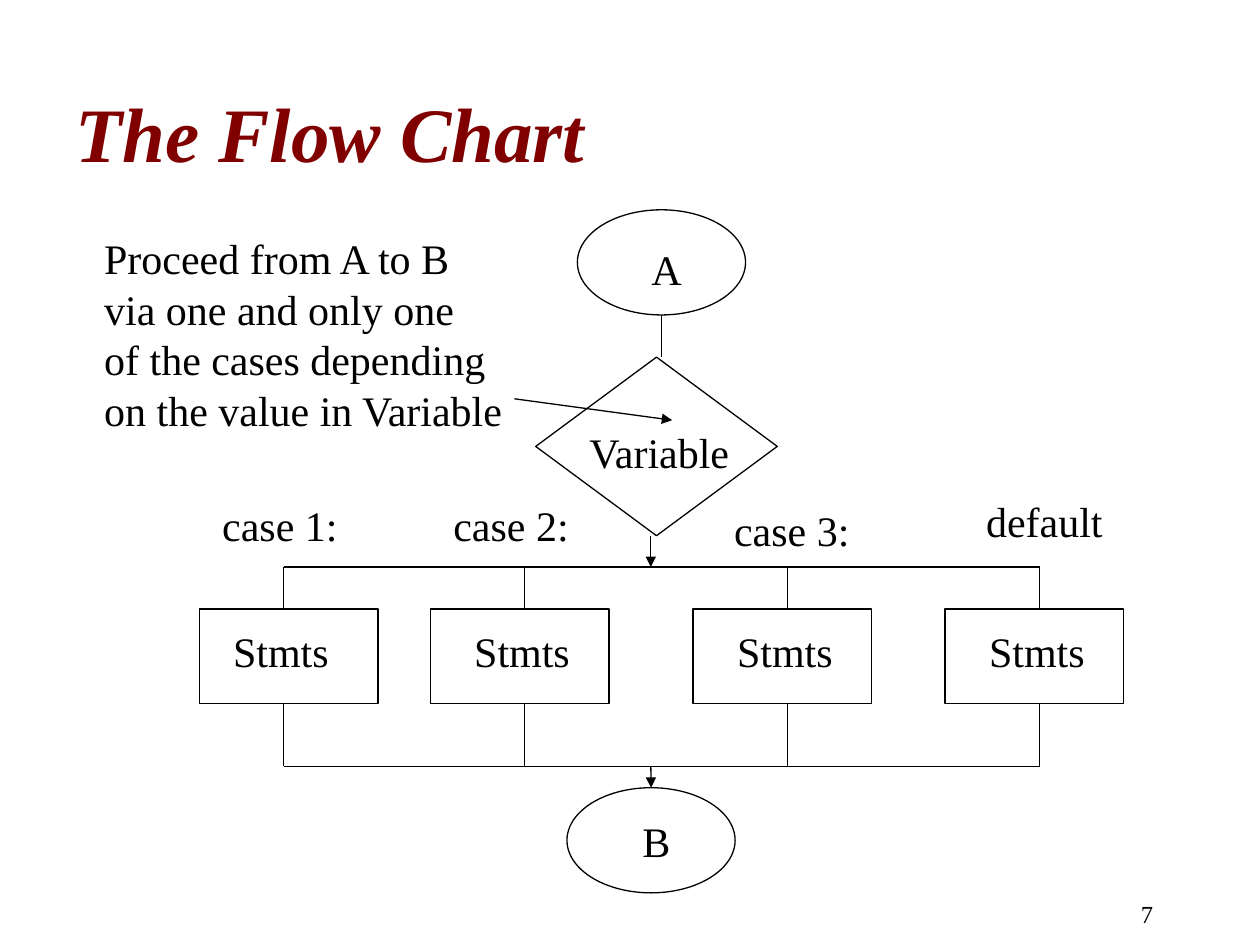
from dataclasses import dataclass

from lxml import etree
from pptx import Presentation
from pptx.dml.color import RGBColor
from pptx.enum.shapes import MSO_CONNECTOR, MSO_SHAPE
from pptx.enum.text import MSO_ANCHOR, MSO_AUTO_SIZE, PP_ALIGN
from pptx.oxml.ns import qn
from pptx.util import Cm, Pt

STRAIGHT = MSO_CONNECTOR.STRAIGHT
TERMINAL = MSO_SHAPE.FLOWCHART_CONNECTOR
DECISION = MSO_SHAPE.FLOWCHART_DECISION
PROCESS = MSO_SHAPE.FLOWCHART_PROCESS
TOP, MIDDLE, BOTTOM = MSO_ANCHOR.TOP, MSO_ANCHOR.MIDDLE, MSO_ANCHOR.BOTTOM
FIXED, GROW = MSO_AUTO_SIZE.NONE, MSO_AUTO_SIZE.SHAPE_TO_FIT_TEXT
LEFT, RIGHT = PP_ALIGN.LEFT, PP_ALIGN.RIGHT


@dataclass(frozen=True)
class Theme:
    font: str = "Times New Roman"
    ink: RGBColor = RGBColor(0, 0, 0)
    heading: RGBColor = RGBColor(0x80, 0, 0)
    title_size: Pt = Pt(44)
    body_size: Pt = Pt(24)
    number_size: Pt = Pt(14)
    line_width: Pt = Pt(0.75)


THEME = Theme()

TITLE = "The Flow Chart"
PAGE_NUMBER = "7"
NOTE = [
    "Proceed from A to B",
    "via one and only one",
    "of the cases depending",
    "on the value in Variable",
]
STATEMENT = "Stmts"
# label, label left, label top, box left, branch x
CASES = [
    ("case 1:", 4.23, 9.95, 4.02, 5.72),
    ("case 2:", 8.89, 9.95, 8.68, 10.58),
    ("case 3:", 14.55, 10.05, 13.97, 15.88),
    ("default", 19.63, 9.86, 19.05, 20.96),
]
NODE_LABELS = [
    ("A", 12.88, 4.78, 1.12),
    ("Variable", 11.63, 8.47, 3.45),
    ("B", 12.7, 16.31, 1.07),
]

TERMINAL_SIZE = (3.39, 2.12)
PROCESS_SIZE = (3.6, 1.9)
LABEL_HEIGHT = 1.27
CASE_WIDTH = 2.88
SPLIT_Y, BOX_TOP, MERGE_Y = 11.43, 12.28, 15.45
BOX_BOTTOM = BOX_TOP + PROCESS_SIZE[1]
FLOW_X = 13.12
STATEMENT_OFFSET = 1.27


def add_text(slide, lines, left, top, width, height, size=THEME.body_size,
             color=THEME.ink, emphasis=False, anchor=TOP, align=LEFT,
             wrap=False):
    box = slide.shapes.add_textbox(Cm(left), Cm(top), Cm(width), Cm(height))
    frame = box.text_frame
    frame.word_wrap = wrap
    frame.auto_size = FIXED if wrap else GROW
    frame.vertical_anchor = anchor
    frame.text = "\n".join(lines)
    for paragraph in frame.paragraphs:
        paragraph.alignment = align
        for run in paragraph.runs:
            run.font.name = THEME.font
            run.font.size = size
            run.font.color.rgb = color
            run.font.bold = emphasis
            run.font.italic = emphasis


def add_node(slide, kind, left, top, width, height):
    shape = slide.shapes.add_shape(kind, Cm(left), Cm(top), Cm(width), Cm(height))
    shape.shadow.inherit = False
    shape.fill.background()
    shape.line.color.rgb = THEME.ink
    shape.line.width = THEME.line_width
    return shape


def add_line(slide, start_x, start_y, end_x, end_y, arrow=False):
    line = slide.shapes.add_connector(
        STRAIGHT, Cm(start_x), Cm(start_y), Cm(end_x), Cm(end_y))
    line.line.color.rgb = THEME.ink
    line.line.width = THEME.line_width
    properties = line._element.spPr
    etree.SubElement(properties, qn("a:effectLst"))
    if arrow:
        etree.SubElement(properties.find(qn("a:ln")), qn("a:tailEnd"), type="triangle")
    return line


def add_cases(slide):
    for label, label_left, label_top, box_left, branch_x in CASES:
        add_node(slide, PROCESS, box_left, BOX_TOP, *PROCESS_SIZE)
        add_line(slide, branch_x, SPLIT_Y, branch_x, BOX_TOP)
        add_line(slide, branch_x, BOX_BOTTOM, branch_x, MERGE_Y)
        add_text(slide, [label], label_left, label_top, CASE_WIDTH, LABEL_HEIGHT)
        add_text(slide, [STATEMENT], branch_x - STATEMENT_OFFSET, 12.49,
                 2.44, LABEL_HEIGHT)
    first_x, last_x = CASES[0][-1], CASES[-1][-1]
    for y in (SPLIT_Y, MERGE_Y):
        add_line(slide, first_x, y, last_x, y)


def main():
    presentation = Presentation()
    presentation.slide_width, presentation.slide_height = Cm(25.4), Cm(19.05)
    slide = presentation.slides.add_slide(presentation.slide_layouts[6])

    add_text(slide, [PAGE_NUMBER], 18.2, 17.57, 5.3, LABEL_HEIGHT,
             size=THEME.number_size, anchor=BOTTOM, align=RIGHT, wrap=True)
    add_text(slide, [TITLE], 1.27, 1.06, 21.59, 3.18, size=THEME.title_size,
             color=THEME.heading, emphasis=True, anchor=MIDDLE, wrap=True)

    add_node(slide, TERMINAL, 11.64, 4.23, *TERMINAL_SIZE)
    add_node(slide, DECISION, 10.8, 7.2, 4.87, 3.6)
    end_node = add_node(slide, TERMINAL, 11.43, 15.88, *TERMINAL_SIZE)

    add_cases(slide)

    add_line(slide, 13.34, 6.35, 13.34, 7.2)
    add_line(slide, FLOW_X, 10.8, FLOW_X, SPLIT_Y, arrow=True)
    finish = add_line(slide, FLOW_X, MERGE_Y, FLOW_X, 15.88, arrow=True)
    finish.end_connect(end_node, 0)

    for label, left, top, width in NODE_LABELS:
        add_text(slide, [label], left, top, width, LABEL_HEIGHT)
    add_text(slide, NOTE, 1.85, 4.57, 8.66, 4.32)
    add_line(slide, 10.37, 8.04, 13.55, 8.47, arrow=True)

    presentation.save("out.pptx")


if __name__ == "__main__":
    main()
